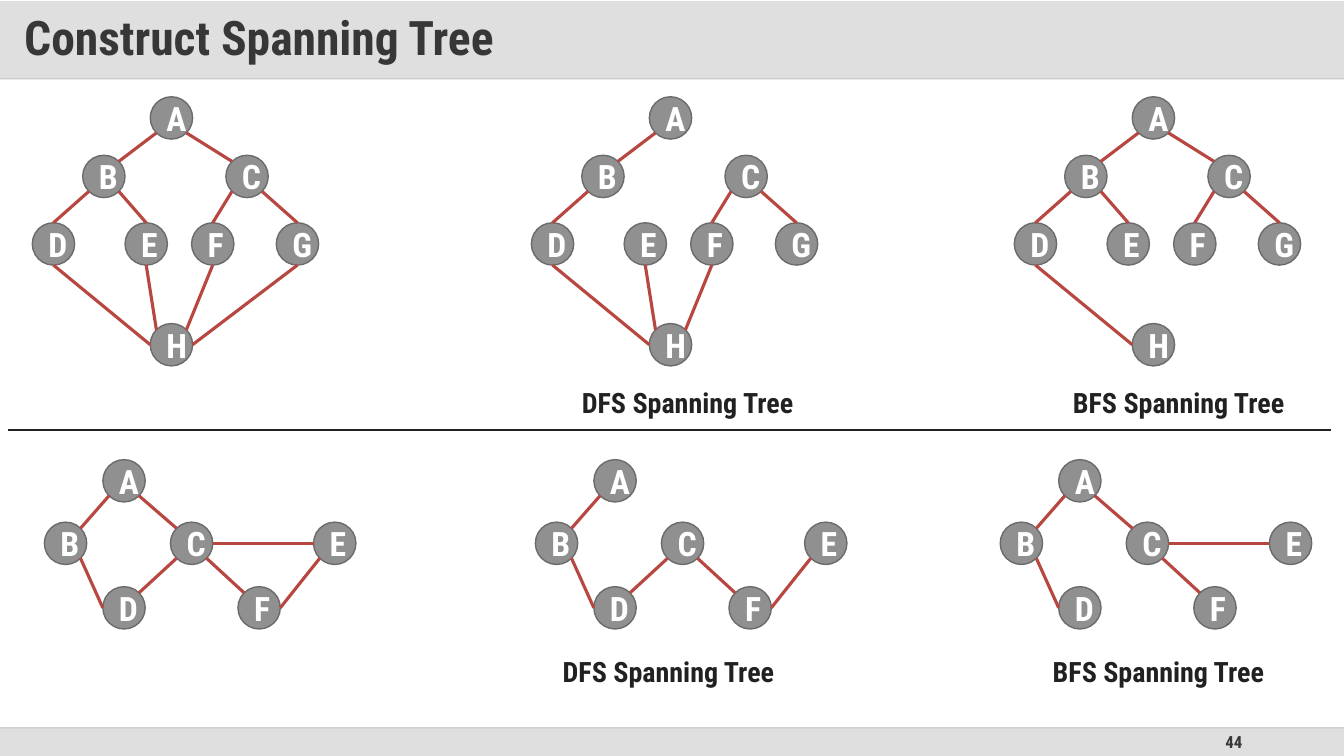
"""Build a slide of two graphs with their DFS and BFS spanning trees."""
from math import sqrt

from lxml import etree
from pptx import Presentation
from pptx.dml.color import RGBColor
from pptx.enum import shapes, text
from pptx.oxml.ns import qn
from pptx.util import Inches, Pt

TITLE = "Construct Spanning Tree"
PAGE_NUMBER = "44"
FONT = "Roboto Condensed"
NODE = 0.42

UPPER = {
    "nodes": {"A": (1.17, 0.96), "B": (0.5, 1.54), "C": (1.92, 1.54),
              "D": (0, 2.21), "E": (0.92, 2.21), "F": (1.58, 2.21),
              "G": (2.42, 2.21), "H": (1.17, 3.21)},
    "edges": {"AB": ("SW", "NE"), "AC": ("SE", "NW"), "BD": ("SW", "N"),
              "BE": ("SE", "N"), "CF": ("SW", "N"), "CG": ("SE", "N"),
              "DH": ("S", "W"), "EH": ("S", "NW"), "FH": ("S", "NE"),
              "GH": ("S", "E")},
}
LOWER = {
    "nodes": {"A": (0.58, 4.56), "B": (0, 5.18), "C": (1.25, 5.18),
              "D": (0.58, 5.82), "E": (2.67, 5.18), "F": (1.92, 5.82)},
    "edges": {"AB": ("SW", "NE"), "AC": ("SE", "NW"), "BD": ("SE", "W"),
              "DC": ("NE", "SW"), "CE": ("E", "W"), "CF": ("SE", "NW"),
              "EF": ("SW", "E")},
}
DRAWINGS = [
    (UPPER, 0.32, "AB AC BD BE CF CG DH EH FH GH"),
    (UPPER, 5.27, "AB BD CF CG DH EH FH"),
    (UPPER, 10.06, "AB AC BD BE CF CG DH"),
    (LOWER, 0.44, "AB AC BD DC CE CF EF"),
    (LOWER, 5.31, "AB BD DC CF EF"),
    (LOWER, 9.92, "AB AC BD CE CF"),
]
CAPTIONS = [
    ("DFS Spanning Tree", 5.66, 3.78), ("BFS Spanning Tree", 10.53, 3.78),
    ("DFS Spanning Tree", 5.47, 6.44), ("BFS Spanning Tree", 10.33, 6.44),
]


def color(value):
    return RGBColor.from_string(value)


def set_alpha(fill_owner, percent):
    for hue in fill_owner.iter(qn("a:srgbClr")):
        etree.SubElement(hue, qn("a:alpha")).set("val", str(percent * 1000))


def write(shape, words, size, hue, align):
    para = shape.text_frame.paragraphs[0]
    para.text = words
    para.alignment = align
    para.font.name = FONT
    para.font.size = Pt(size)
    para.font.bold = True
    para.font.color.rgb = color(hue)
    return para


def add_line(page, start, end, hue, width):
    line = page.shapes.add_connector(
        shapes.MSO_CONNECTOR.STRAIGHT, *map(Inches, (*start, *end)))
    line.line.color.rgb = color(hue)
    line.line.width = Pt(width)
    etree.SubElement(line.element.spPr, qn("a:effectLst"))
    return line


def add_filled(page, kind, place, hue):
    shape = page.shapes.add_shape(kind, *map(Inches, place))
    shape.shadow.inherit = False
    shape.fill.solid()
    shape.fill.fore_color.rgb = color(hue)
    shape.line.fill.background()
    return shape


def site(corner, side):
    """Return the point of a node's circle that faces a compass side."""
    radius = NODE / 2
    across = ("E" in side) - ("W" in side)
    down = ("S" in side) - ("N" in side)
    reach = radius / sqrt(abs(across) + abs(down))
    return (corner[0] + radius + across * reach,
            corner[1] + radius + down * reach)


def draw_graph(page, graph, left, chosen):
    corners = {name: (left + x, y) for name, (x, y) in graph["nodes"].items()}
    for name, corner in corners.items():
        node = add_filled(page, shapes.MSO_SHAPE.OVAL,
                          (*corner, NODE, NODE), "909090")
        node.line.color.rgb = color("6B6B6B")
        node.line.width = Pt(1)
        node.text_frame.vertical_anchor = text.MSO_ANCHOR.MIDDLE
        write(node, name, 24, "FFFFFF", text.PP_ALIGN.CENTER)
    for edge in chosen.split():
        ends = [site(corners[name], side)
                for name, side in zip(edge, graph["edges"][edge])]
        add_line(page, *ends, "B84742", 2.25)


def draw_frame(page):
    add_filled(page, shapes.MSO_SHAPE.RECTANGLE, (0, 7.22, 13.33, 0.28), "DFDFDF")
    number = page.shapes.add_textbox(*map(Inches, (9.42, 7.22, 3, 0.28)))
    number.text_frame.word_wrap = True
    number.text_frame.vertical_anchor = text.MSO_ANCHOR.MIDDLE
    write(number, PAGE_NUMBER, 12, "373737", text.PP_ALIGN.RIGHT)
    add_line(page, (0, 0.78), (13.33, 0.78), "D9D9D9", 1)
    footer_rule = add_line(page, (0, 7.22), (13.33, 7.22), "BFBFBF", 1)
    set_alpha(footer_rule.element.spPr, 70)


def draw_title(page):
    title = page.shapes.title
    title.element.getparent().append(title.element)
    title.left, title.top, title.width, title.height = map(
        Inches, (0, 0.01, 13.33, 0.78))
    title.fill.solid()
    title.fill.fore_color.rgb = color("C0C0C0")
    set_alpha(title.element.spPr, 50)
    frame = title.text_frame
    frame.margin_left = frame.margin_right = Inches(0.24)
    frame.margin_top = frame.margin_bottom = Inches(0.12)
    frame.vertical_anchor = text.MSO_ANCHOR.MIDDLE
    frame.auto_size = text.MSO_AUTO_SIZE.NONE
    para = write(title, TITLE, 34, "373737", text.PP_ALIGN.LEFT)
    para.line_spacing = 0.9


def main():
    deck = Presentation()
    deck.slide_width, deck.slide_height = Inches(13.33), Inches(7.5)
    page = deck.slides.add_slide(deck.slide_layouts.get_by_name("Title Only"))
    draw_frame(page)
    draw_title(page)
    for graph, left, chosen in DRAWINGS:
        draw_graph(page, graph, left, chosen)
    add_line(page, (0.08, 4.27), (13.2, 4.27), "212121", 1.5)
    for words, left, top in CAPTIONS:
        box = page.shapes.add_textbox(*map(Inches, (left, top, 2.32, 0.44)))
        box.text_frame.word_wrap = False
        box.text_frame.auto_size = text.MSO_AUTO_SIZE.SHAPE_TO_FIT_TEXT
        write(box, words, 20, "212121", text.PP_ALIGN.CENTER)
    deck.save("out.pptx")


if __name__ == "__main__":
    main()
